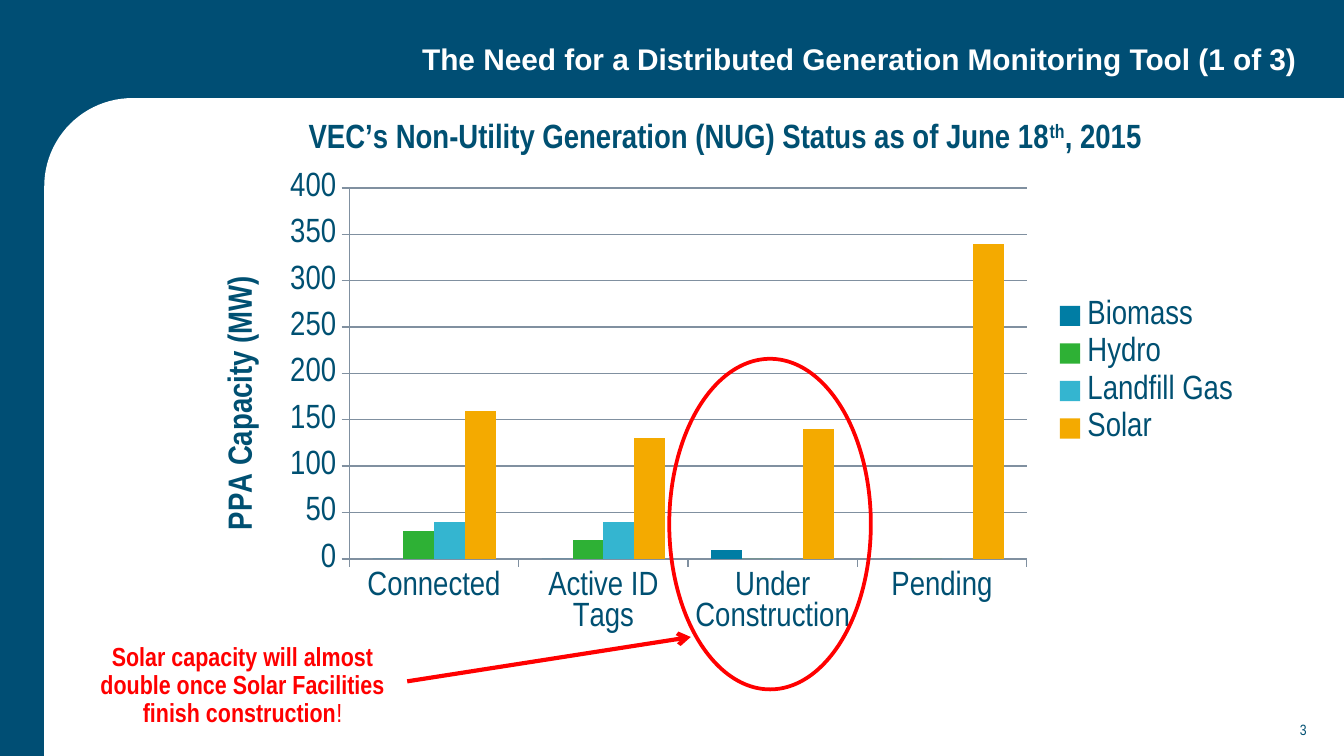
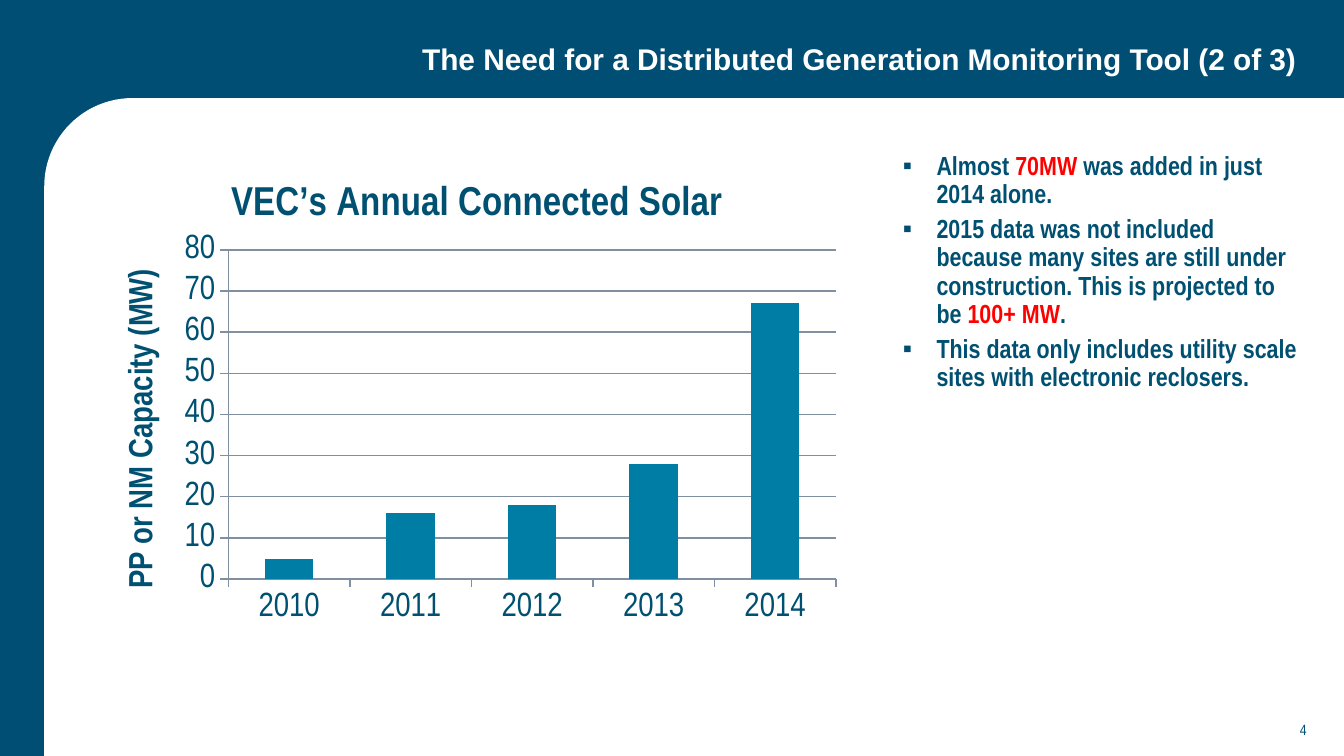
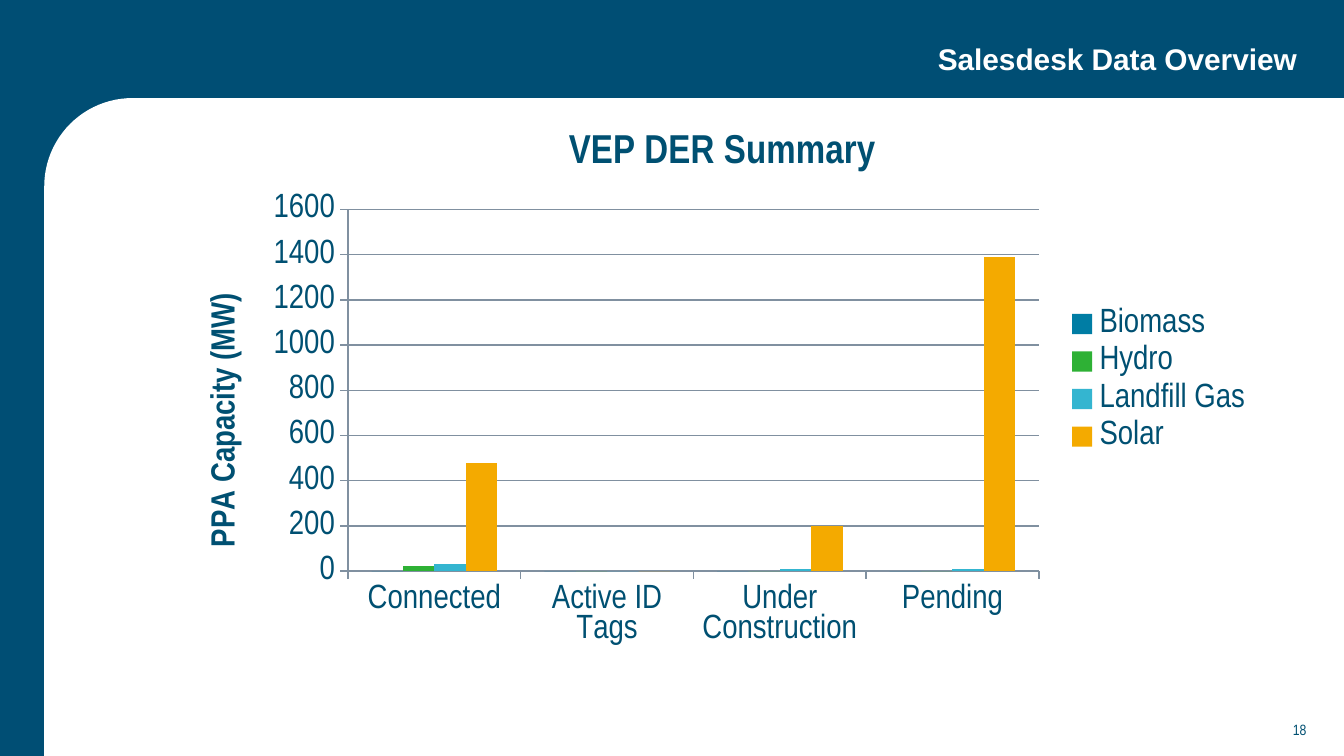
"""Build three slides on distributed generation capacity."""
from dataclasses import dataclass

from lxml import etree
from pptx import Presentation
from pptx.chart.data import CategoryChartData
from pptx.dml.color import RGBColor
from pptx.enum.chart import XL_CHART_TYPE, XL_LEGEND_POSITION, XL_TICK_MARK
from pptx.enum.shapes import MSO_CONNECTOR, MSO_SHAPE
from pptx.enum.text import MSO_ANCHOR, PP_ALIGN
from pptx.oxml.ns import qn
from pptx.util import Inches, Pt

COLUMNS = XL_CHART_TYPE.COLUMN_CLUSTERED
LEGEND_RIGHT = XL_LEGEND_POSITION.RIGHT
TICK_OUT = XL_TICK_MARK.OUTSIDE
STRAIGHT = MSO_CONNECTOR.STRAIGHT
ELLIPSE, PANEL = MSO_SHAPE.OVAL, MSO_SHAPE.ROUND_1_RECTANGLE
LEFT, CENTER, RIGHT = PP_ALIGN.LEFT, PP_ALIGN.CENTER, PP_ALIGN.RIGHT
TOP, MIDDLE = MSO_ANCHOR.TOP, MSO_ANCHOR.MIDDLE


@dataclass(frozen=True)
class Theme:
    """Colours, fonts and type sizes of the deck."""
    band: RGBColor = RGBColor.from_string("004E74")
    text: RGBColor = RGBColor.from_string("005072")
    white: RGBColor = RGBColor.from_string("FFFFFF")
    alert: RGBColor = RGBColor.from_string("FF0000")
    grid: RGBColor = RGBColor.from_string("8090A0")
    series: tuple = tuple(map(RGBColor.from_string, ("007DA4", "2EB135", "34B5D0", "F4AA00")))
    heading_font: str = "Arial"
    body_font: str = "Arial Narrow"
    heading: Pt = Pt(16)
    body: Pt = Pt(14)
    number: Pt = Pt(8)
    chart: Pt = Pt(18)
    chart_title: Pt = Pt(21.6)


theme = Theme()
HEADING = {"name": theme.heading_font, "size": theme.heading, "bold": True, "color": theme.white}
NUMBER = {"name": theme.body_font, "size": theme.number, "color": theme.text}
BODY = {"name": theme.body_font, "size": theme.body, "bold": True, "color": theme.text}
ALERT = {**BODY, "color": theme.alert}
CHART = {"name": theme.body_font, "size": theme.chart, "color": theme.text}
AXIS_TITLE = {**CHART, "bold": True}
CHART_TITLE = {**AXIS_TITLE, "size": theme.chart_title}


def style(font, values):
    for name, value in values.items():
        if name == "color":
            font.color.rgb = value
        else:
            setattr(font, name, value)


def add_text(page, place, paragraphs, align=LEFT, anchor=TOP, spacing=1.0, before=0, bullet=None):
    box = page.shapes.add_textbox(*map(Inches, place))
    frame = box.text_frame
    frame.word_wrap = True
    frame.vertical_anchor = anchor
    for index, spans in enumerate(paragraphs):
        para = frame.paragraphs[0] if index == 0 else frame.add_paragraph()
        para.alignment = align
        para.line_spacing = spacing
        para.space_before = Pt(before)
        if bullet:
            props = para._p.get_or_add_pPr()
            props.set("marL", str(Inches(0.25)))
            props.set("indent", str(-Inches(0.25)))
            colour = etree.SubElement(props, qn("a:buClr"))
            etree.SubElement(colour, qn("a:srgbClr"), val=str(theme.band))
            etree.SubElement(props, qn("a:buFont"), typeface=theme.heading_font)
            etree.SubElement(props, qn("a:buChar"), char=bullet)
        for text, values in spans:
            span = para.add_run()
            span.text = text
            style(span.font, values)
    return box


STAGES = ["Connected", "Active ID Tags", "Under Construction", "Pending"]
SLIDES = [
    {
        "heading": "The Need for a Distributed Generation Monitoring Tool (1 of 3)",
        "number": "3",
        "place": (1.45, 0.74, 7.89, 4.06),
        "plot": (2.6, 1.4, 5.04, 2.76),
        "title": [
            ("VEC’s Non-Utility Generation (NUG) Status as of June 18", AXIS_TITLE),
            ("th", AXIS_TITLE),
            (", 2015", AXIS_TITLE),
        ],
        "axis": "PPA Capacity (MW)",
        "top": 400,
        "step": 50,
        "categories": STAGES,
        "series": {
            "Biomass": (0, 0, 10, 0),
            "Hydro": (30, 20, 0, 0),
            "Landfill Gas": (40, 40, 0, 0),
            "Solar": (160, 130, 140, 340),
        },
    },
    {
        "heading": "The Need for a Distributed Generation Monitoring Tool (2 of 3)",
        "number": "4",
        "place": (0.76, 1.17, 5.58, 3.54),
        "plot": (1.7, 1.86, 4.52, 2.45),
        "title": [("VEC’s Annual Connected Solar", CHART_TITLE)],
        "axis": "PP or NM Capacity (MW)",
        "top": 80,
        "step": 10,
        "categories": ["2010", "2011", "2012", "2013", "2014"],
        "series": {"Series 1": (5, 16, 18, 28, 67)},
    },
    {
        "heading": "Salesdesk Data Overview",
        "number": "18",
        "place": (1.32, 0.77, 8.11, 4.12),
        "plot": (2.59, 1.56, 5.14, 2.69),
        "title": [("VEP DER Summary", CHART_TITLE)],
        "axis": "PPA Capacity (MW)",
        "top": 1600,
        "step": 200,
        "categories": STAGES,
        "series": {
            "Biomass": (0, 0, 0, 0),
            "Hydro": (20, 0, 0, 0),
            "Landfill Gas": (30, 0, 10, 10),
            "Solar": (480, 0, 200, 1390),
        },
    },
]

deck = Presentation()
deck.slide_width = Inches(10)
deck.slide_height = deck.slide_width * 9 // 16
master = deck.slide_master
backdrop = master.background.fill
backdrop.solid()
backdrop.fore_color.rgb = theme.band
pages = [deck.slides.add_slide(deck.slide_layouts[6]) for _ in SLIDES]
status_page, annual_page, _ = pages

panel = status_page.shapes.add_shape(PANEL, *map(Inches, (0.33, 0.73, 9.67, 4.9)))
panel.adjustments[0] = 0.134
panel._element.spPr.xfrm.set("flipH", "1")
panel.shadow.inherit = False
panel.fill.solid()
panel.fill.fore_color.rgb = theme.white
panel.line.fill.background()
master.shapes._spTree.insert(2, panel._element)

for page, content in zip(pages, SLIDES):
    add_text(page, (0.39, 0.2, 9.36, 0.52), [[(content["heading"], HEADING)]], RIGHT, MIDDLE, 0.85)
    add_text(page, (7.49, 5.31, 2.33, 0.39), [[(content["number"], NUMBER)]], RIGHT)

    data = CategoryChartData()
    data.categories = content["categories"]
    for name, values in content["series"].items():
        data.add_series(name, values)
    chart = page.shapes.add_chart(COLUMNS, *map(Inches, content["place"]), data).chart
    style(chart.font, CHART)
    chart.has_title = True
    para = chart.chart_title.text_frame.paragraphs[0]
    for text, values in content["title"]:
        span = para.add_run()
        span.text = text
        style(span.font, values)
        if text == "th":
            span.font._element.set("baseline", "30000")
    chart.has_legend = len(content["series"]) > 1
    if chart.has_legend:
        chart.legend.position = LEGEND_RIGHT
        chart.legend.include_in_layout = False

    plot = chart.plots[0]
    plot.gap_width = 150
    plot.overlap = 0
    plot.vary_by_categories = False
    for series, colour in zip(plot.series, theme.series):
        series.format.fill.solid()
        series.format.fill.fore_color.rgb = colour

    scale = chart.value_axis
    scale.minimum_scale, scale.maximum_scale = 0, content["top"]
    scale.major_unit = content["step"]
    scale.has_major_gridlines = True
    scale.axis_title.text_frame.text = content["axis"]
    style(scale.axis_title.text_frame.paragraphs[0].runs[0].font, AXIS_TITLE)
    for axis in (scale, chart.category_axis):
        axis.major_tick_mark = TICK_OUT
    for line in (scale.format.line, chart.category_axis.format.line, scale.major_gridlines.format.line):
        line.color.rgb = theme.grid
        line.width = Pt(0.75)

    area = chart._chartSpace.chart.plotArea
    for layout in area.findall(qn("c:layout")):
        area.remove(layout)
    layout = etree.Element(qn("c:layout"))
    area.insert(0, layout)
    manual = etree.SubElement(layout, qn("c:manualLayout"))
    left, top, width, height = content["place"]
    plot_left, plot_top, plot_width, plot_height = content["plot"]
    settings = {
        "layoutTarget": "inner",
        "xMode": "edge",
        "yMode": "edge",
        "x": (plot_left - left) / width,
        "y": (plot_top - top) / height,
        "w": plot_width / width,
        "h": plot_height / height,
    }
    for name, value in settings.items():
        etree.SubElement(manual, qn(f"c:{name}"), val=str(value))

ring = status_page.shapes.add_shape(ELLIPSE, *map(Inches, (4.98, 2.67, 1.5, 2.46)))
ring.shadow.inherit = False
ring.fill.background()
ring.line.color.rgb = theme.alert
ring.line.width = Pt(2)
callout = add_text(
    status_page,
    (0.58, 4.74, 2.45, 0.66),
    [[
        ("Solar capacity will almost double once Solar Facilities finish construction", ALERT),
        ("!", {**ALERT, "bold": False}),
    ]],
    CENTER, spacing=0.9, before=3.5,
)
arrow = status_page.shapes.add_connector(STRAIGHT, *map(Inches, (3.03, 5.07, 5.14, 4.74)))
arrow.begin_connect(callout, 3)
arrow.line.color.rgb = theme.alert
arrow.line.width = Pt(2.25)
etree.SubElement(arrow.line._get_or_add_ln(), qn("a:tailEnd"), type="arrow")
etree.SubElement(arrow._element.spPr, qn("a:effectLst"))

add_text(
    annual_page,
    (6.62, 1.09, 3.17, 2.22),
    [
        [("Almost ", BODY), ("70MW", ALERT), (" was added in just 2014 alone.", BODY)],
        [
            ("2015 data was not included because many sites are still under construction. "
             "This is projected to be ", BODY),
            ("100+ MW", ALERT),
            (".", BODY),
        ],
        [("This data only includes utility scale sites with electronic reclosers.", BODY)],
    ],
    spacing=0.9, before=3.5, bullet="▪",
)

deck.save("out.pptx")
